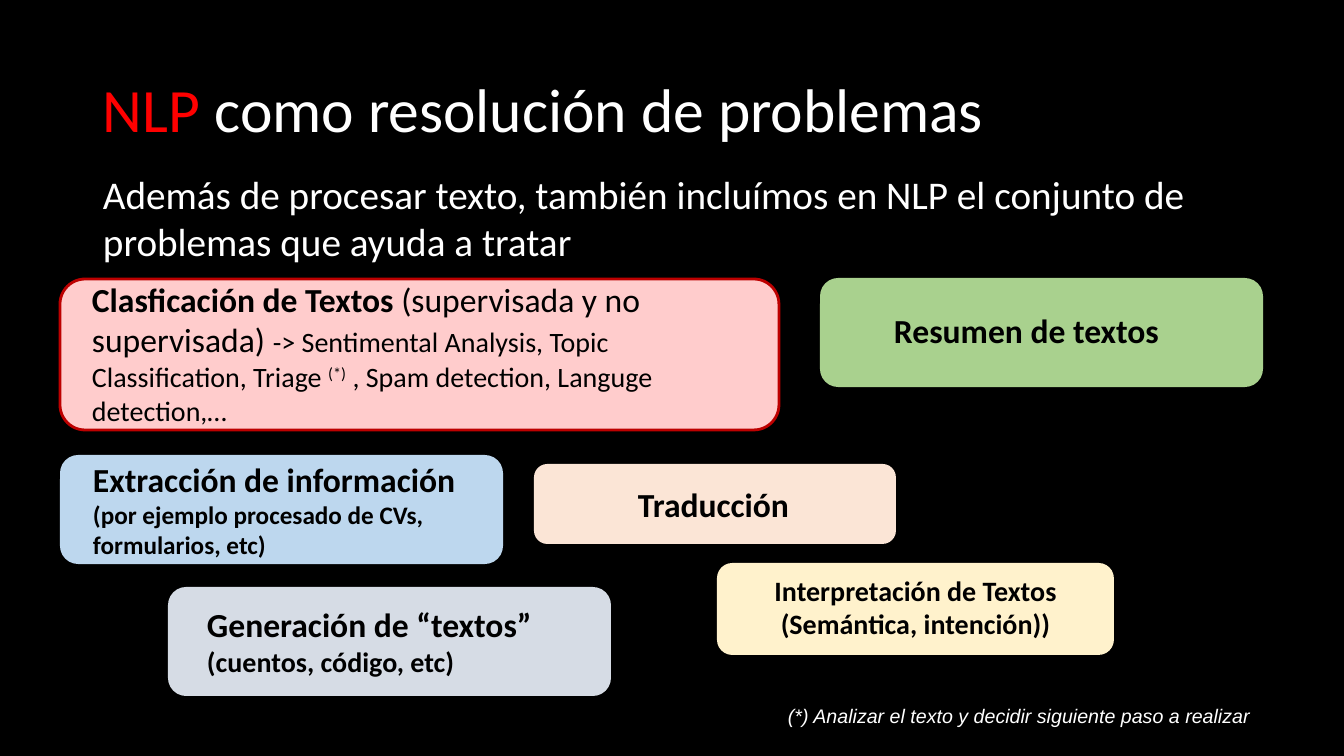
"""Build the slide on NLP as problem solving."""
from pptx import Presentation
from pptx.dml.color import RGBColor
from pptx.enum.shapes import MSO_SHAPE
from pptx.enum.text import MSO_ANCHOR, PP_ALIGN
from pptx.util import Emu, Pt

SIZE = (1344, 756)
SCALE = 12192000 / 1344
BLACK, WHITE, RED = "000000", "FFFFFF", "FF0000"

TITLE = ((93, 40, 1159, 146), [
    ("NLP ", dict(size=44, color=RED)),
    ("como resolución de problemas", dict(size=44, color=WHITE))])
INTRO = ((93, 160, 1159, 109), [
    ("Además de procesar texto, también incluímos en NLP el conjunto de "
     "problemas que ayuda a tratar", dict(size=28, color=WHITE))])
NOTE = ((778, 699, 519, 34), [
    ("(*) Analizar el texto y decidir siguiente paso a realizar",
     dict(size=14, color=WHITE, font="Arial", italic=True))])

HEAD = dict(size=24, bold=True)
SUB = dict(size=20, bold=True)
CARDS = [
    ((60, 279, 719, 151), "FFCCCC", "BD0000", (82, 269, 676, 109), "left", [
        ("Clasficación de Textos ", HEAD),
        ("(supervisada y no supervisada) ", dict(size=24)),
        ("-> Sentimental Analysis, Topic Classification, Triage ", dict(size=20)),
        ("(*)", dict(size=20, raised=True)),
        (" , Spam detection, Languge detection,…", dict(size=20))]),
    ((60, 455, 443, 109), "BDD7EE", None, (83, 449, 420, 109), "left", [
        ("Extracción de información ", HEAD),
        ("(por ejemplo procesado de CVs, formularios, etc)",
         dict(size=18, bold=True))]),
    ((820, 278, 443, 109), "A9D18E", None, (884, 300, 420, 109), "left", [
        ("Resumen de textos", HEAD)]),
    ((534, 464, 362, 80), "FBE5D6", None, (542, 474, 343, 68), "center", [
        ("Traducción", HEAD)]),
    ((168, 587, 443, 109), "D6DCE5", None, (197, 594, 392, 68), "left", [
        ("Generación de “textos” ", HEAD),
        ("(cuentos, código, etc)", SUB)]),
    ((717, 563, 397, 92), "FFF2CC", None, (744, 563, 343, 68), "center", [
        ("Interpretación de Textos (Semántica, intención))", SUB)]),
]
ALIGN = {"left": PP_ALIGN.LEFT, "center": PP_ALIGN.CENTER}


def px(n):
    return Emu(round(n * SCALE))


def rgb(code):
    return RGBColor.from_string(code)


def add_run(para, text, size, color=BLACK, font="Calibri", bold=False,
            italic=False, raised=False):
    run = para.add_run()
    run.text = text
    face = run.font
    face.size, face.name, face.bold, face.italic = Pt(size), font, bold, italic
    face.color.rgb = rgb(color)
    if raised:
        face._element.set("baseline", "30000")


def write(shape, runs, align="left", pad=10, anchor=MSO_ANCHOR.TOP):
    frame = shape.text_frame
    frame.word_wrap = True
    frame.vertical_anchor = anchor
    frame.margin_left = frame.margin_right = px(10)
    frame.margin_top = frame.margin_bottom = px(pad)
    para = frame.paragraphs[0]
    para.alignment = ALIGN[align]
    for text, form in runs:
        add_run(para, text, **form)
    return para


def add_text(slide, box, runs, **form):
    write(slide.shapes.add_textbox(*map(px, box)), runs, **form)


def add_panel(slide, box, fill, edge):
    panel = slide.shapes.add_shape(MSO_SHAPE.ROUNDED_RECTANGLE, *map(px, box))
    panel.shadow.inherit = False
    panel.fill.solid()
    panel.fill.fore_color.rgb = rgb(fill)
    if edge:
        panel.line.color.rgb = rgb(edge)
        panel.line.width = Pt(2)
    else:
        panel.line.fill.background()


def main():
    deck = Presentation()
    deck.slide_width, deck.slide_height = map(px, SIZE)
    slide = deck.slides.add_slide(deck.slide_layouts[5])
    slide.background.fill.solid()
    slide.background.fill.fore_color.rgb = rgb(BLACK)
    title = slide.shapes.title
    box, runs = TITLE
    title.left, title.top, title.width, title.height = map(px, box)
    write(title, runs, pad=5, anchor=MSO_ANCHOR.MIDDLE).line_spacing = 0.9
    add_text(slide, *INTRO)
    for box, fill, edge, area, align, runs in CARDS:
        add_panel(slide, box, fill, edge)
        add_text(slide, area, runs, align=align)
    add_text(slide, *NOTE, pad=5)
    deck.save("out.pptx")


if __name__ == "__main__":
    main()
